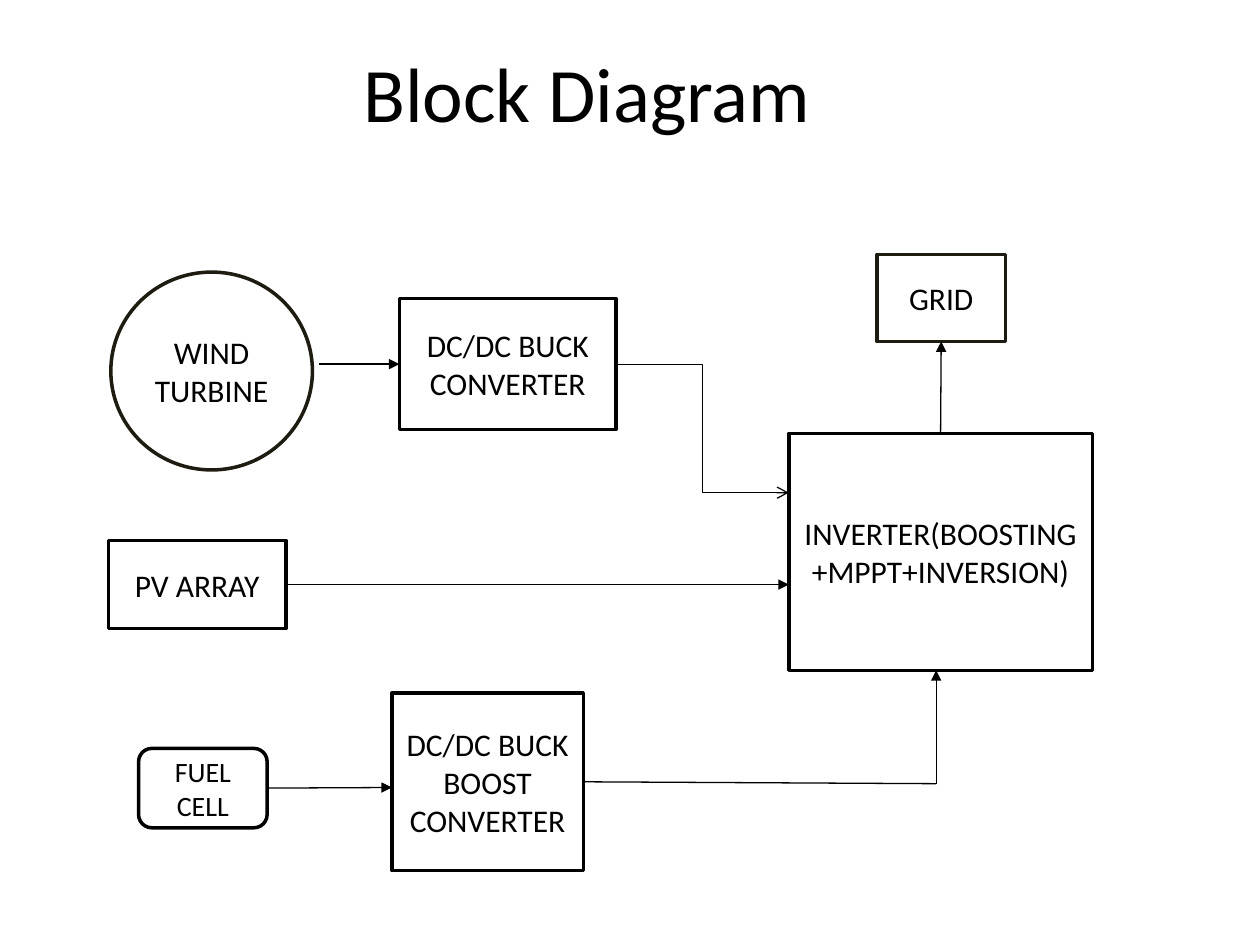
from dataclasses import dataclass
from typing import Any

from lxml.etree import SubElement
from pptx import Presentation
from pptx.dml.color import RGBColor
from pptx.enum.shapes import MSO_CONNECTOR as Link, MSO_SHAPE as Form
from pptx.enum.text import MSO_ANCHOR as Anchor, PP_ALIGN as Align
from pptx.oxml.ns import qn
from pptx.util import Inches, Pt

TOP, LEFT, BOTTOM, RIGHT = range(4)


def color(hex_code):
    return RGBColor.from_string(hex_code)


@dataclass
class Diagram:
    """Style and slide; lengths are cells of a 100 by 75 grid."""
    slide: Any
    cell: float = 0.1
    font: str = "Calibri"
    ink: str = "000000"
    paper: str = "FFFFFF"
    border: float = 2
    wire_width: float = 0.75

    def cells(self, *counts):
        return [Inches(count * self.cell) for count in counts]

    def label(self, holder, words, size):
        frame = holder.text_frame
        frame.word_wrap = True
        frame.vertical_anchor = Anchor.MIDDLE
        line = frame.paragraphs[0]
        line.text = words
        line.alignment = Align.CENTER
        line.font.name = self.font
        line.font.size = Pt(size)
        line.font.color.rgb = color(self.ink)

    def title(self, words, area, size=44):
        self.label(self.slide.shapes.add_textbox(*self.cells(*area)), words, size)

    def block(self, words, area, form=Form.RECTANGLE, size=18, edge=None):
        block = self.slide.shapes.add_shape(form, *self.cells(*area))
        block.shadow.inherit = False
        block.fill.solid()
        block.fill.fore_color.rgb = color(self.paper)
        block.line.color.rgb = color(edge or self.ink)
        block.line.width = Pt(self.border)
        self.label(block, words, size)
        return block

    def wire(self, start, end, head="triangle", kind=Link.STRAIGHT,
             source=None, target=None):
        """Draw a line; source and target are (block, side) pairs to join."""
        wire = self.slide.shapes.add_connector(kind, *self.cells(*start, *end))
        wire.line.color.rgb = color(self.ink)
        wire.line.width = Pt(self.wire_width)
        if head:
            SubElement(wire.line._get_or_add_ln(), qn("a:tailEnd"), type=head)
        SubElement(wire._element.spPr, qn("a:effectLst"))
        if source:
            wire.begin_connect(*source)
        if target:
            wire.end_connect(*target)


def main():
    deck = Presentation()
    deck.slide_width, deck.slide_height = Inches(10), Inches(7.5)
    diagram = Diagram(deck.slides.add_slide(deck.slide_layouts[6]))
    olive = "1E1C11"

    diagram.title("Block Diagram", (1.6, 1, 90, 12.5))

    # Energy sources
    diagram.block("WIND TURBINE", (8.8, 21.6, 16, 15.7), Form.OVAL, edge=olive)
    pv_array = diagram.block("PV ARRAY", (8.6, 42.9, 14.1, 7))
    fuel_cell = diagram.block("FUEL CELL", (11, 59.4, 10.2, 6.3),
                              Form.ROUNDED_RECTANGLE, size=16)

    # Converters, inverter and grid
    buck = diagram.block("DC/DC BUCK CONVERTER", (31.7, 23.7, 17.2, 10.4))
    boost = diagram.block("DC/DC BUCK BOOST CONVERTER", (31.1, 55, 15.2, 14.1))
    inverter = diagram.block("INVERTER(BOOSTING+MPPT+INVERSION)",
                             (62.6, 34.4, 24.1, 18.8))
    grid = diagram.block("GRID", (69.6, 20.2, 10.2, 6.9), edge=olive)

    # Wind path
    diagram.wire((25.3, 28.9), (31.7, 28.9), target=(buck, LEFT))
    diagram.wire((48.9, 28.9), (62.6, 39.1), "arrow", Link.ELBOW)

    # Solar path
    diagram.wire((22.7, 46.4), (62.6, 46.4), source=(pv_array, RIGHT))

    # Fuel cell path, turning up into the inverter
    corner = (74.3, 62.2)
    diagram.wire((21.2, 62.5), (31.1, 62.5), source=(fuel_cell, RIGHT))
    diagram.wire((46.3, 62.1), corner, head=None, source=(boost, RIGHT))
    diagram.wire(corner, (74.3, 53.2))

    # Output to the grid
    diagram.wire((74.7, 34.4), (74.7, 27.1),
                 source=(inverter, TOP), target=(grid, BOTTOM))

    deck.save("out.pptx")


if __name__ == "__main__":
    main()
